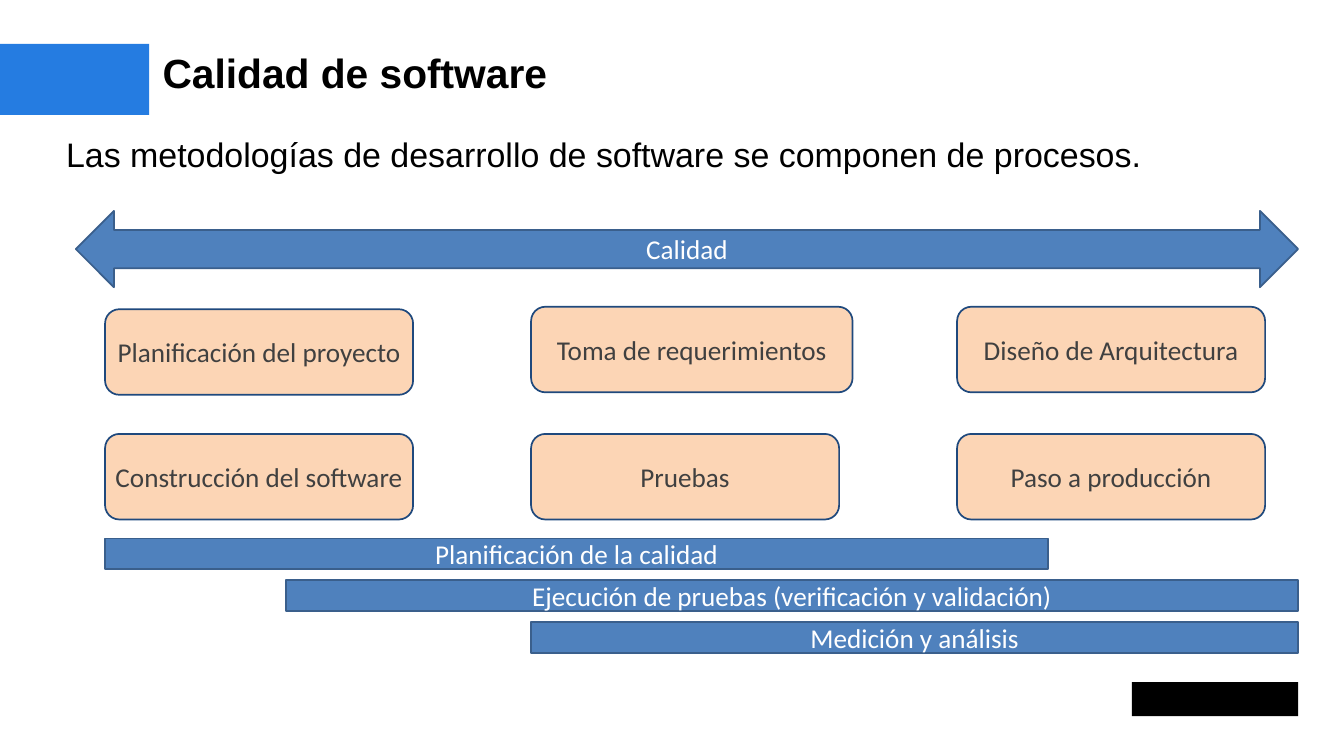
from typing import NamedTuple

from lxml.etree import SubElement
from pptx import Presentation
from pptx.dml.color import RGBColor
from pptx.enum.shapes import MSO_SHAPE as Shape
from pptx.enum.text import MSO_ANCHOR as Anchor, MSO_AUTO_SIZE as AutoSize, PP_ALIGN as Align
from pptx.oxml.ns import qn
from pptx.util import Pt


class Box(NamedTuple):
    left: float
    top: float
    width: float
    height: float

    def inner(self, left, top, width, height):
        """Box given relative to this one's top left corner."""
        return Box(self.left + left, self.top + top, width, height)


class Theme:
    accent = RGBColor.from_string("257CE1")
    black = RGBColor.from_string("000000")
    blue = RGBColor.from_string("4F81BD")
    blue_edge = RGBColor.from_string("3A5F8C")
    peach = RGBColor.from_string("FCD5B5")
    navy = RGBColor.from_string("1F497D")
    white = RGBColor.from_string("FFFFFF")
    grey = RGBColor.from_string("404040")
    title = {"name": "Arial", "size": Pt(48), "bold": True}
    body = {"name": "Arial", "size": Pt(40), "bold": False}
    label = {"name": "Calibri", "size": Pt(32), "bold": False}
    edge = Pt(2)


STAGES = [
    ["Planificación del proyecto", "Toma de requerimientos", "Diseño de Arquitectura"],
    ["Construcción del software", "Pruebas", "Paso a producción"],
]
FIRST_STAGE, WIDE_STAGE = STAGES[0][:2]
ACTIVITIES = [  # label, left, width
    ("Planificación de la calidad", 0, 1111),
    ("Ejecución de pruebas (verificación y validación)", 213.2, 1192.3),
    ("Medición y análisis", 501.9, 903.6),
]


def set_all(target, formats):
    for name, value in formats.items():
        setattr(target, name, value)


def place(shape, box):
    for name in ("left", "top", "width", "height"):
        setattr(shape, name, Pt(getattr(box, name)))


def write(shape, text, font, color, align, anchor):
    frame = shape.text_frame
    frame.text = text
    set_all(frame, {"word_wrap": True, "auto_size": AutoSize.NONE, "vertical_anchor": anchor,
                    "margin_left": 0, "margin_right": 0, "margin_top": 0, "margin_bottom": 0})
    para = frame.paragraphs[0]
    set_all(para, {"alignment": align, "space_before": Pt(0)})
    span = para.runs[0]
    set_all(span.font, font)
    span.font.color.rgb = color
    return para


def add_block(page, kind, box, fill, edge=None):
    block = page.shapes.add_shape(kind, *map(Pt, box))
    block.shadow.inherit = False
    block.fill.solid()
    block.fill.fore_color.rgb = fill
    if edge is None:
        block.line.fill.background()
    else:
        block.line.color.rgb = edge
        block.line.width = Theme.edge
    return block


def add_label_block(page, kind, box, text, fill, edge, color):
    block = add_block(page, kind, box, fill, edge)
    write(block, text, Theme.label, color, Align.CENTER, Anchor.MIDDLE)


def add_heading(page, box):
    add_block(page, Shape.RECTANGLE, box.inner(0, 0, 175.7, 83.5), Theme.accent)
    title = page.shapes.title
    place(title, box.inner(191.5, 4.4, 1337.8, 58.3))
    write(title, "Calidad de software", Theme.title, Theme.black, Align.LEFT, Anchor.TOP)


def add_statement(page, box):
    body = page.placeholders[1]
    place(body, box)
    para = write(body, "Las metodologías de desarrollo de software se componen de procesos.",
                 Theme.body, Theme.black, Align.JUSTIFY, Anchor.TOP)
    props = para._p.get_or_add_pPr()
    props.set("marL", "0")
    props.set("indent", "0")
    SubElement(props, qn("a:buNone"))


def add_quality_arrow(page, box):
    add_label_block(page, Shape.LEFT_RIGHT_ARROW, box, "Calidad",
                    Theme.blue, Theme.blue_edge, Theme.white)


def add_stages(page, box):
    card_width, card_height = 362.9, 100.8
    column_step = (box.width - card_width) / 2
    row_step = box.height - card_height
    for row, names in enumerate(STAGES):
        for column, name in enumerate(names):
            drop = 2.9 if name == FIRST_STAGE else 0
            extra = 15.8 if name == WIDE_STAGE else 0
            card = box.inner(column * column_step, row * row_step + drop,
                             card_width + extra, card_height)
            add_label_block(page, Shape.ROUNDED_RECTANGLE, card, name,
                            Theme.peach, Theme.navy, Theme.grey)


def add_activities(page, box):
    bar_height = 36
    step = (box.height - bar_height) / (len(ACTIVITIES) - 1)
    for row, (name, left, width) in enumerate(ACTIVITIES):
        add_label_block(page, Shape.RECTANGLE, box.inner(left, row * step, width, bar_height),
                        name, Theme.blue, Theme.blue_edge, Theme.white)


def add_brand_mark(page, box):
    add_block(page, Shape.RECTANGLE, box, Theme.black)


def main():
    deck = Presentation()
    set_all(deck, {"slide_width": Pt(1583.3), "slide_height": Pt(890.6)})
    page = deck.slides.add_slide(deck.slide_layouts[1])
    add_heading(page, Box(0, 51.8, 1529.3, 83.5))
    add_statement(page, Box(77.8, 157, 1373.8, 48.2))
    add_quality_arrow(page, Box(89.3, 248.4, 1440, 90))
    add_activities(page, Box(123.8, 634.3, 1405.5, 134.6))
    add_stages(page, Box(123.8, 361.4, 1366.6, 250.6))
    add_brand_mark(page, Box(1333.4, 803.5, 195.9, 40.3))
    deck.save("out.pptx")


if __name__ == "__main__":
    main()
